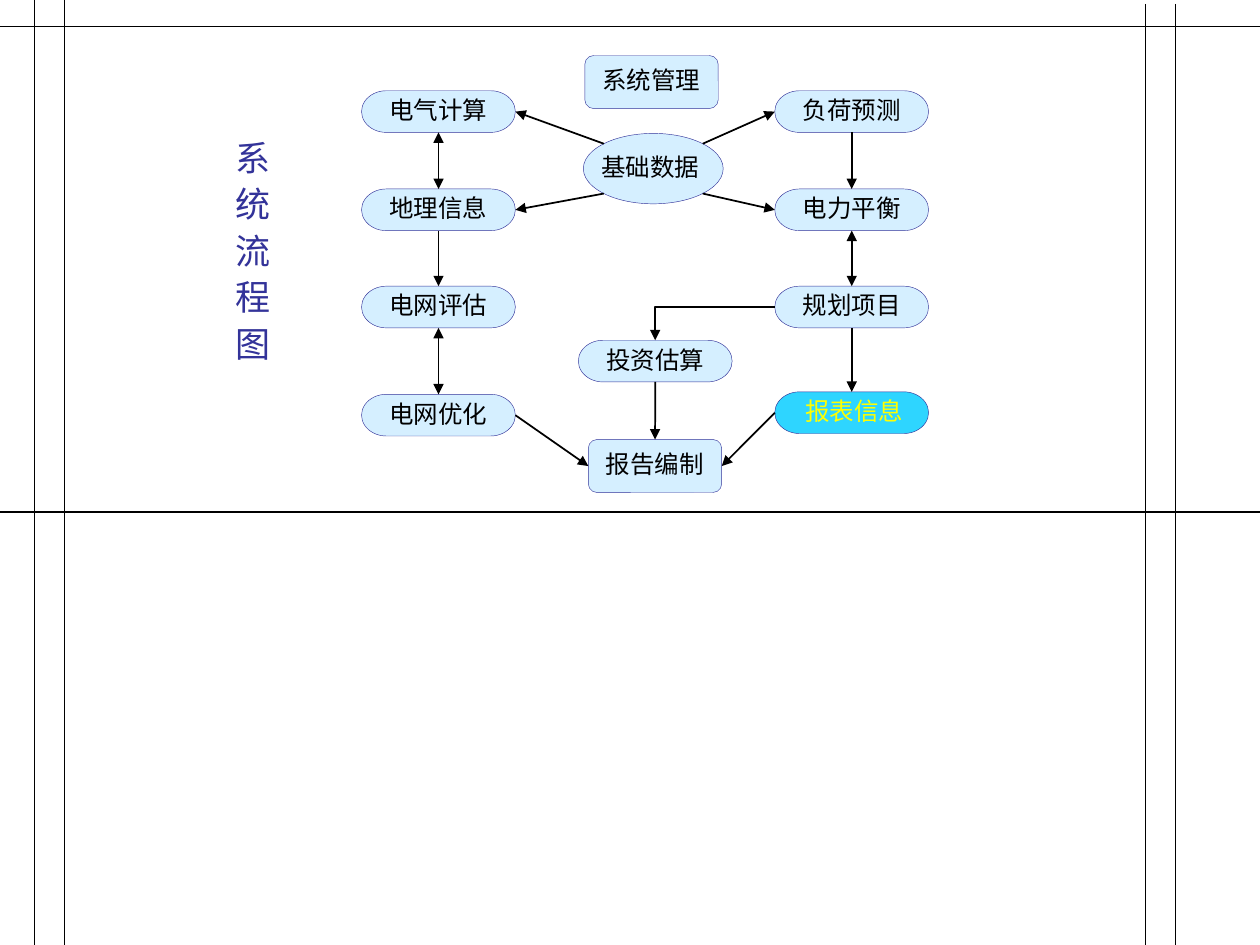
from dataclasses import dataclass
from math import sqrt

from lxml import etree
from pptx import Presentation
from pptx import util as u
from pptx.dml.color import RGBColor
from pptx.enum import shapes, text
from pptx.oxml.ns import qn

TOP, LEFT, BOTTOM, RIGHT = range(4)
SLIDE_WIDTH, SLIDE_HEIGHT = u.Cm(25.4), u.Cm(19.05)


@dataclass(frozen=True)
class Theme:
    font: str = "Noto Sans CJK SC"
    node_size: float = 14
    title_size: float = 20
    ink: str = "000000"
    accent: str = "333399"
    node_fill: str = "CCECFF"
    report_fill: str = "00CCFF"
    report_ink: str = "FFFF00"
    opacity: int = 82000
    guide_width: float = 0.75
    arrow_width: float = 1
    outline_width: float = 0.25


THEME = Theme()


def rgb(value):
    return RGBColor.from_string(value)


def format_text(frame, size, color, space_before):
    for paragraph in frame.paragraphs:
        paragraph.alignment = text.PP_ALIGN.CENTER
        paragraph.line_spacing = 0.9
        paragraph.space_before = u.Pt(space_before)
        properties = paragraph._p.get_or_add_pPr()
        properties.set("marL", str(u.Cm(0.95)))
        properties.set("indent", str(u.Cm(-0.95)))
        for run in paragraph.runs:
            run.font.size = u.Pt(size)
            run.font.name = THEME.font
            run.font.color.rgb = rgb(color)
            east_asian = etree.SubElement(run._r.get_or_add_rPr(), qn("a:ea"))
            east_asian.set("typeface", THEME.font)


def add_node(slide, kind, label, left, top, width, height,
             fill=THEME.node_fill, ink=THEME.ink):
    node = slide.shapes.add_shape(
        kind, u.Cm(left), u.Cm(top), u.Cm(width), u.Cm(height))
    node.shadow.inherit = False
    node.fill.solid()
    node.fill.fore_color.rgb = rgb(fill)
    fill_color = node._element.spPr.find(qn("a:solidFill"))[0]
    etree.SubElement(fill_color, qn("a:alpha")).set("val", str(THEME.opacity))
    node.line.color.rgb = rgb(THEME.accent)
    node.line.width = u.Pt(THEME.outline_width)
    frame = node.text_frame
    frame.text = label
    frame.word_wrap = False
    frame.vertical_anchor = text.MSO_ANCHOR.MIDDLE
    format_text(frame, THEME.node_size, ink, 3.5)
    return node


def add_step(slide, label, left, top, **colors):
    kind = shapes.MSO_SHAPE.FLOWCHART_TERMINATOR
    return add_node(slide, kind, label, left, top, 3.1, 0.84, **colors)


def add_box(slide, label, left, top):
    kind = shapes.MSO_SHAPE.FLOWCHART_ALTERNATE_PROCESS
    return add_node(slide, kind, label, left, top, 2.69, 1.07)


def add_line(slide, start, end, width, kind=shapes.MSO_CONNECTOR.STRAIGHT):
    line = slide.shapes.add_connector(kind, *start, *end)
    line.line.color.rgb = rgb(THEME.ink)
    line.line.width = u.Pt(width)
    etree.SubElement(line._element.spPr, qn("a:effectLst"))
    return line


def add_arrowheads(line, both):
    outline = line.line._get_or_add_ln()
    for end in ("headEnd", "tailEnd") if both else ("tailEnd",):
        etree.SubElement(outline, qn(f"a:{end}")).set("type", "triangle")


def link(slide, source, source_side, target, target_side, both=False,
         kind=shapes.MSO_CONNECTOR.STRAIGHT):
    arrow = add_line(slide, (0, 0), (0, 0), THEME.arrow_width, kind)
    arrow.begin_connect(source, source_side)
    arrow.end_connect(target, target_side)
    add_arrowheads(arrow, both)
    return arrow


def link_from_oval(slide, oval, x_sign, y_sign, target, target_side):
    start = (int(oval.left + oval.width * (1 + x_sign / sqrt(2)) / 2),
             int(oval.top + oval.height * (1 + y_sign / sqrt(2)) / 2))
    arrow = add_line(slide, start, start, THEME.arrow_width)
    arrow.end_connect(target, target_side)
    add_arrowheads(arrow, False)


def add_guides(slide):
    for x, top in ((0.69, 0), (1.3, 0), (23.09, 0.08), (23.7, 0.08)):
        add_line(slide, (u.Cm(x), u.Cm(top)), (u.Cm(x), SLIDE_HEIGHT),
                 THEME.guide_width)
    for y in (0.53, 10.32):
        add_line(slide, (0, u.Cm(y)), (SLIDE_WIDTH, u.Cm(y)), THEME.guide_width)


def add_vertical_title(slide, title):
    box = slide.shapes.add_textbox(
        u.Cm(4.5), u.Cm(2.72), u.Cm(1.19), u.Cm(4.78))
    frame = box.text_frame
    frame.word_wrap = True
    frame.text = "\n".join(title)
    format_text(frame, THEME.title_size, THEME.accent, 5)


def add_flow(slide):
    rows = (1.83, 3.81, 5.77)
    left_labels = ("电气计算", "地理信息", "电网评估", "电网优化")
    right_labels = ("负荷预测", "电力平衡", "规划项目")
    calculation, geography, assessment, optimisation = [
        add_step(slide, label, 7.29, top)
        for label, top in zip(left_labels, (*rows, 7.95))]
    forecast, balance, projects = [
        add_step(slide, label, 15.62, top)
        for label, top in zip(right_labels, rows)]
    reports = add_step(slide, " 报表信息", 15.62, 7.9,
                       fill=THEME.report_fill, ink=THEME.report_ink)
    investment = add_step(slide, "投资估算", 11.66, 6.86)
    add_box(slide, "系统管理", 11.79, 1.12)
    compilation = add_box(slide, "报告编制", 11.86, 8.86)
    base_data = add_node(slide, shapes.MSO_SHAPE.OVAL, "基础数据 ",
                         11.76, 2.69, 2.82, 1.42)

    for upper, lower, both in (
            (calculation, geography, True), (geography, assessment, False),
            (assessment, optimisation, True), (forecast, balance, False),
            (balance, projects, True), (projects, reports, False),
            (investment, compilation, False)):
        link(slide, upper, BOTTOM, lower, TOP, both)
    for x_sign, y_sign, target, side in (
            (-1, -1, calculation, RIGHT), (-1, 1, geography, RIGHT),
            (1, -1, forecast, LEFT), (1, 1, balance, LEFT)):
        link_from_oval(slide, base_data, x_sign, y_sign, target, side)
    link(slide, optimisation, RIGHT, compilation, LEFT)
    link(slide, reports, LEFT, compilation, RIGHT)
    elbow = link(slide, projects, LEFT, investment, TOP,
                 kind=shapes.MSO_CONNECTOR.ELBOW)
    elbow._element.spPr.find(qn("a:prstGeom")).set("prst", "bentConnector2")


def main():
    deck = Presentation()
    deck.slide_width, deck.slide_height = SLIDE_WIDTH, SLIDE_HEIGHT
    slide = deck.slides.add_slide(deck.slide_layouts[6])
    add_guides(slide)
    add_flow(slide)
    add_vertical_title(slide, "系统流程图")
    deck.save("out.pptx")


if __name__ == "__main__":
    main()
